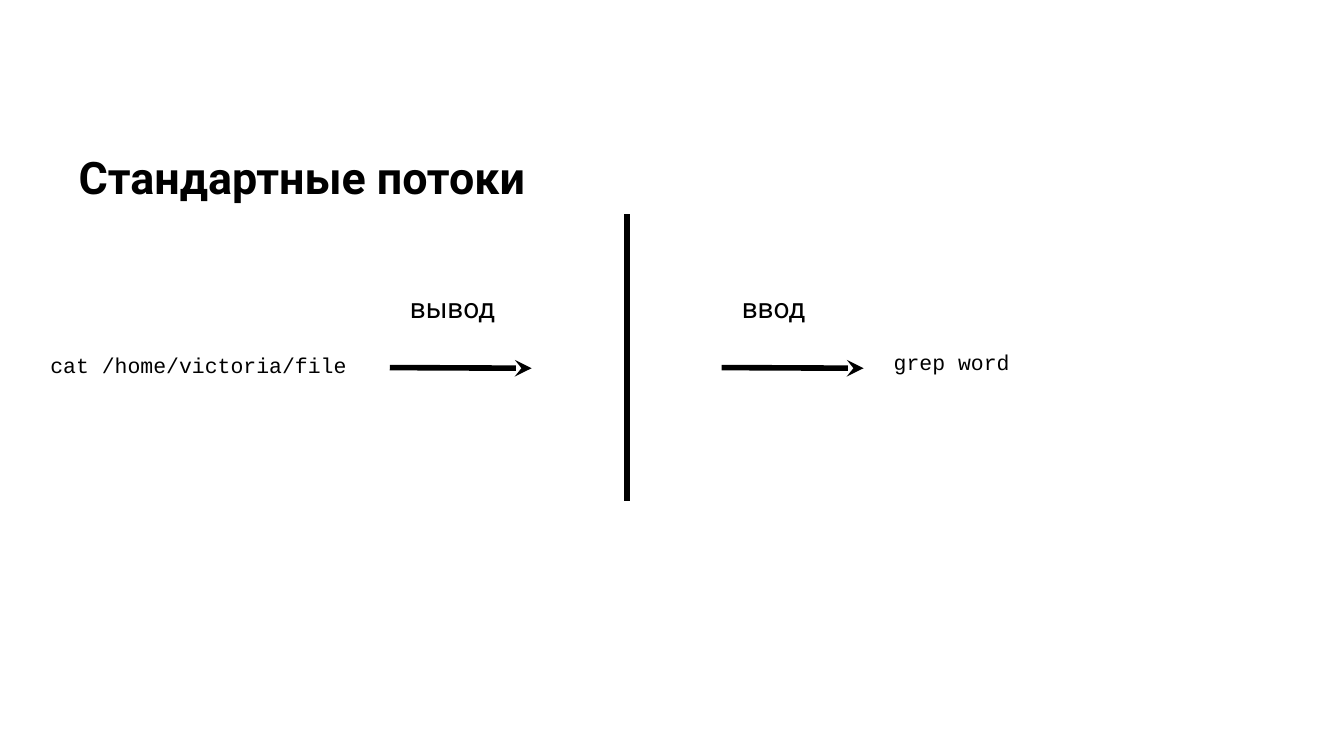
from lxml import etree
from pptx import Presentation
from pptx.dml.color import RGBColor
from pptx.enum import shapes, text
from pptx.oxml.ns import qn
from pptx.util import Inches, Pt

COLORS = {"ink": "000000", "paper": "FFFFFF"}
FORMATS = {
    "title": {"name": "Roboto", "size": Pt(48), "bold": True},
    "label": {"name": "Roboto", "size": Pt(30), "bold": False},
    "command": {"name": "Courier New", "size": Pt(23), "bold": False},
}


class StreamSlide:
    def __init__(self, deck):
        self.ink = RGBColor.from_string(COLORS["ink"])
        self.slide = deck.slides.add_slide(deck.slide_layouts[5])
        background = self.slide.background.fill
        background.solid()
        background.fore_color.rgb = RGBColor.from_string(COLORS["paper"])

    def set_words(self, shape, words, style, inset):
        frame = shape.text_frame
        frame.word_wrap = True
        frame.auto_size = text.MSO_AUTO_SIZE.NONE
        frame.vertical_anchor = text.MSO_ANCHOR.TOP
        for side in ("left", "top", "right", "bottom"):
            setattr(frame, f"margin_{side}", Inches(inset))
        paragraph = frame.paragraphs[0]
        paragraph.alignment = text.PP_ALIGN.LEFT
        run = paragraph.add_run()
        run.text = words
        for key, value in FORMATS[style].items():
            setattr(run.font, key, value)
        run.font.color.rgb = self.ink

    def title(self, words, left, top, width, height):
        heading = self.slide.shapes.title
        heading.left, heading.top = Inches(left), Inches(top)
        heading.width, heading.height = Inches(width), Inches(height)
        self.set_words(heading, words, "title", 0)

    def text(self, words, style, left, top, width, height):
        box = self.slide.shapes.add_textbox(
            Inches(left), Inches(top), Inches(width), Inches(height))
        self.set_words(box, words, style, 0.1)

    def line(self, x1, y1, x2, y2, arrow=False):
        stroke = self.slide.shapes.add_connector(
            shapes.MSO_CONNECTOR.STRAIGHT,
            Inches(x1), Inches(y1), Inches(x2), Inches(y2))
        stroke.line.width = Pt(6)
        stroke.line.color.rgb = self.ink
        properties = stroke._element.spPr
        etree.SubElement(properties, qn("a:effectLst"))
        if arrow:
            etree.SubElement(properties.find(qn("a:ln")), qn("a:tailEnd"), type="stealth")


def main():
    deck = Presentation()
    deck.slide_width, deck.slide_height = Inches(20), Inches(11.25)
    page = StreamSlide(deck)

    # Heading
    page.title("Стандартные потоки", 1.17, 2.23, 17.44, 1.61)

    # Output and input arrows with their labels
    for stream, start in (("вывод", 5.8), ("ввод", 10.74)):
        page.line(start, 5.47, start + 2.11, 5.48, arrow=True)
        page.text(stream, "label", start + 0.2, 4.22, 1.74, 0.87)

    # Divider between the two processes
    page.line(9.33, 3.19, 9.33, 7.46)

    # Commands on either side
    for command, left, top in (("cat /home/victoria/file", 0.65, 5.14),
                               ("grep word", 13.2, 5.09)):
        page.text(command, "command", left, top, 4.78, 2.15)

    deck.save("out.pptx")


if __name__ == "__main__":
    main()
